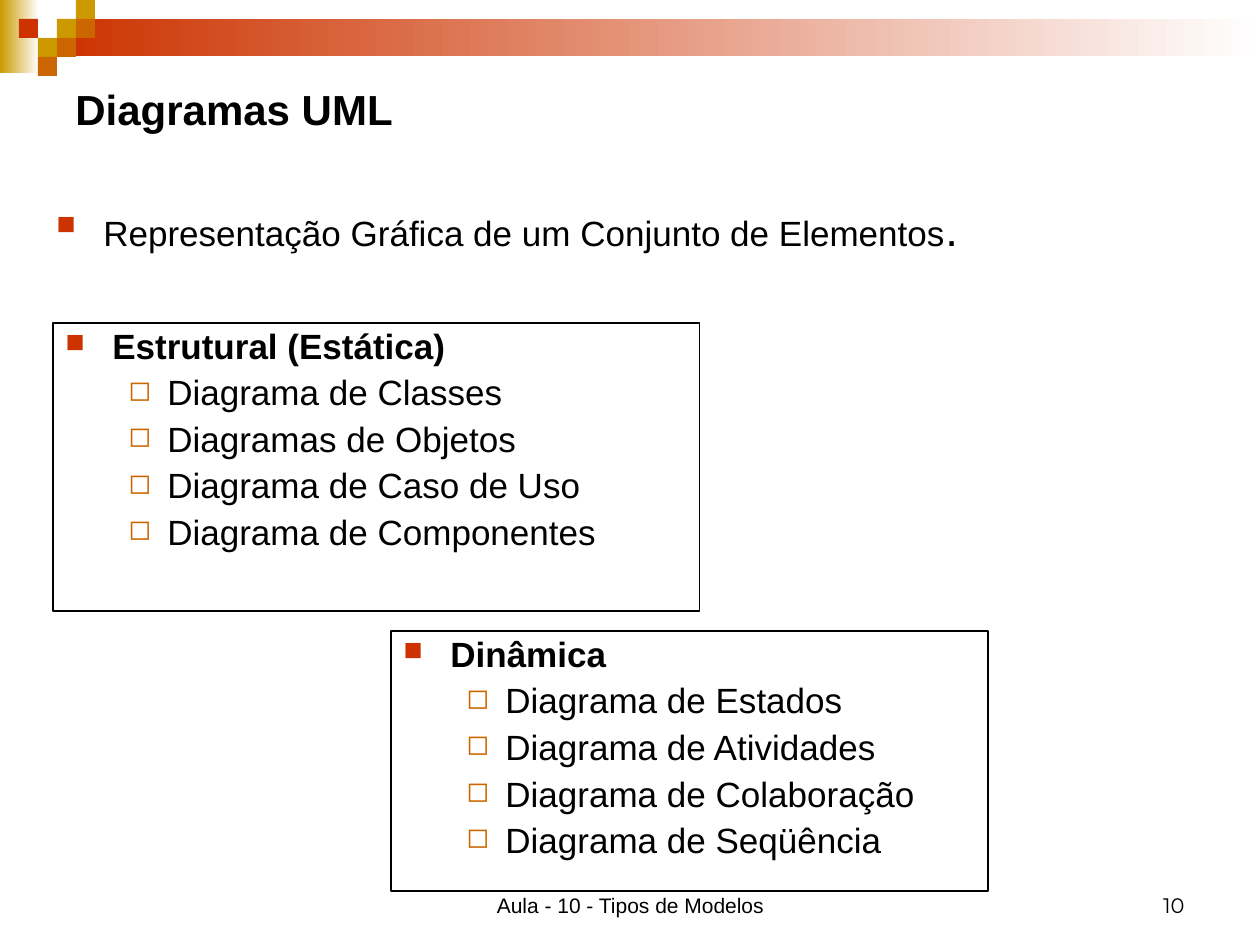
from lxml import etree
from pptx import Presentation
from pptx.dml.color import RGBColor
from pptx.enum.shapes import MSO_SHAPE as SHAPE
from pptx.enum.text import MSO_ANCHOR as ANCHOR, PP_ALIGN as ALIGN
from pptx.oxml.ns import qn
from pptx.util import Pt

PX = 914400 // 126  # one px in EMU
COLORS = {"gold": "CC9900", "red": "CC3300", "orange": "CC6600",
          "white": "FFFFFF", "black": "000000"}

# Gradient bands: box, start colour
BANDS = [((0, 0, 39, 73), "gold"), ((57, 19, 1203, 37), "red")]
# Mosaic squares: column, row, colour
SQUARE = 19
MOSAIC = [(2, 1, "gold"), (3, 0, "gold"), (3, 1, "orange"), (1, 2, "gold"),
          (0, 1, "red"), (2, 2, "orange"), (1, 3, "orange")]

TITLE = "Diagramas UML"
INTRO = [("Representação Gráfica de um Conjunto de Elementos", 20), (".", 26)]
GROUPS = [
    ((53, 323, 647, 288), "Estrutural (Estática)",
     ["Diagrama de Classes", "Diagramas de Objetos",
      "Diagrama de Caso de Uso", "Diagrama de Componentes"]),
    ((391, 631, 597, 260), "Dinâmica",
     ["Diagrama de Estados", "Diagrama de Atividades",
      "Diagrama de Colaboração", "Diagrama de Seqüência"]),
]
FOOTER = "Aula - 10 - Tipos de Modelos"
PAGE = "10"

# Bullet levels: left margin px, hanging px, character, colour, size %
LEVELS = [(47, 47, "■", "red", 75), (102, 39, "◻", "orange", 80)]


def rgb(name):
    return RGBColor.from_string(COLORS[name])


def emu(box):
    return [v * PX for v in box]


def add_rect(slide, box):
    sp = slide.shapes.add_shape(SHAPE.RECTANGLE, *emu(box))
    sp.shadow.inherit = False
    sp.line.fill.background()
    return sp


def add_text(slide, box, anchor=ANCHOR.TOP):
    tf = slide.shapes.add_textbox(*emu(box)).text_frame
    tf.word_wrap = True
    tf.vertical_anchor = anchor
    return tf


def style(r, size, bold=False, face="Arial"):
    r.font.size = Pt(size)
    r.font.bold = bold
    r.font.name = face
    r.font.color.rgb = rgb("black")


def add_bullet(p, level):
    margin, hang, char, color, percent = LEVELS[level]
    p.level = level
    pPr = p._p.get_or_add_pPr()
    pPr.set("marL", str(margin * PX))
    pPr.set("indent", str(-hang * PX))
    clr = etree.SubElement(pPr, qn("a:buClr"))
    etree.SubElement(clr, qn("a:srgbClr"), val=COLORS[color])
    etree.SubElement(pPr, qn("a:buSzPct"), val=str(percent * 1000))
    etree.SubElement(pPr, qn("a:buChar"), char=char)


def add_line(slide, box, text, size, anchor, align=ALIGN.LEFT, **font):
    p = add_text(slide, box, anchor).paragraphs[0]
    p.text = text
    p.alignment = align
    style(p.runs[0], size, **font)


def add_group(slide, box, heading, items):
    sp = add_rect(slide, box)
    sp.fill.background()
    sp.line.color.rgb = rgb("black")
    sp.line.width = Pt(0.75)
    tf = sp.text_frame
    tf.word_wrap = True
    tf.vertical_anchor = ANCHOR.TOP
    for i, text in enumerate([heading] + items):
        p = tf.add_paragraph() if i else tf.paragraphs[0]
        p.text = text
        p.alignment = ALIGN.LEFT
        p.line_spacing = 0.9
        if i:
            p.space_before = Pt(5)
        add_bullet(p, min(i, 1))
        style(p.runs[0], 20, bold=i == 0)


def main():
    prs = Presentation()
    prs.slide_width, prs.slide_height = emu((1260, 945))
    slide = prs.slides.add_slide(prs.slide_layouts[6])

    for box, color in BANDS:
        fill = add_rect(slide, box).fill
        fill.gradient()
        fill.gradient_angle = 0
        for stop, position, name in zip(fill.gradient_stops, (0, 1), (color, "white")):
            stop.position = position
            stop.color.rgb = rgb(name)
    for col, row, color in MOSAIC:
        sp = add_rect(slide, ((col + 1) * SQUARE, row * SQUARE, SQUARE, SQUARE))
        sp.fill.solid()
        sp.fill.fore_color.rgb = rgb(color)

    add_line(slide, (63, 63, 1134, 91), TITLE, 24, ANCHOR.MIDDLE, bold=True)
    for group in GROUPS:
        add_group(slide, *group)

    p = add_text(slide, (44, 195, 1134, 81)).paragraphs[0]
    add_bullet(p, 0)
    for text, size in INTRO:
        r = p.add_run()
        r.text = text
        style(r, size)

    add_line(slide, (431, 861, 399, 63), FOOTER, 12, ANCHOR.BOTTOM, ALIGN.CENTER)
    add_line(slide, (903, 861, 294, 63), PAGE, 12, ANCHOR.BOTTOM, ALIGN.RIGHT,
             face="Montserrat")
    prs.save("out.pptx")


if __name__ == "__main__":
    main()
